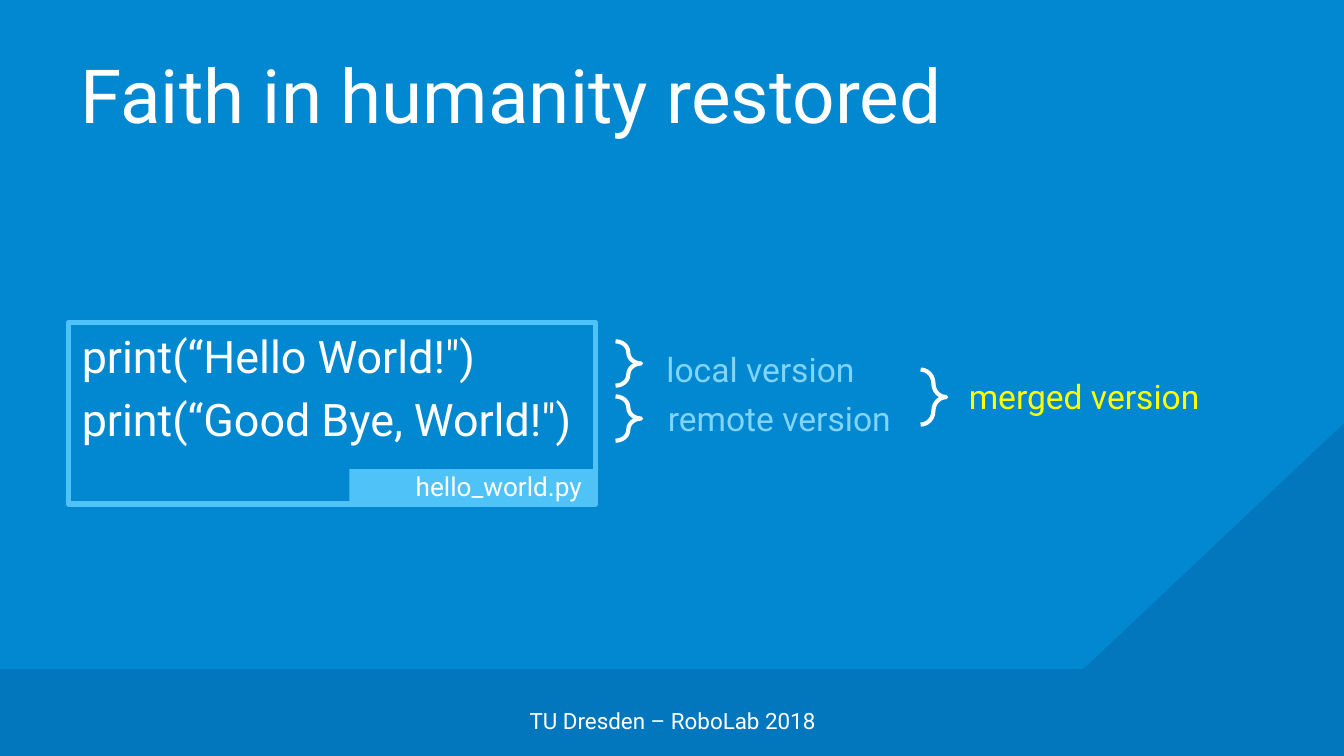
from pptx import Presentation
from pptx.dml.color import RGBColor
from pptx.enum.shapes import MSO_SHAPE
from pptx.enum.text import MSO_ANCHOR, PP_ALIGN
from pptx.oxml.ns import qn
from pptx.util import Inches, Pt
from lxml.etree import SubElement

WHITE = "FFFFFF"
BACKGROUND = "0288D1"
FOOTER_BLUE = "0277BD"
FRAME_BLUE = "4FC3F7"
LABEL_BLUE = "81D4FA"
YELLOW = "FFFF00"


def color(hex_code):
    return RGBColor.from_string(hex_code)


def style(shape, fill=None, line=None, width=1):
    shape.shadow.inherit = False
    if fill:
        shape.fill.solid()
        shape.fill.fore_color.rgb = color(fill)
    else:
        shape.fill.background()
    if line:
        shape.line.color.rgb = color(line)
        shape.line.width = Pt(width)
        SubElement(shape.line._get_or_add_ln(), qn("a:round"))
    else:
        shape.line.fill.background()
    return shape


def add_preset(slide, kind, box, **look):
    shape = slide.shapes.add_shape(kind, *map(Inches, box))
    return style(shape, **look)


def add_brace(slide, box):
    brace = add_preset(slide, MSO_SHAPE.RIGHT_BRACE, box, line=WHITE, width=2.25)
    brace.adjustments[0] = 0.65
    brace.adjustments[1] = 0.5


def write(shape, *lines, size=18, ink=WHITE, align=PP_ALIGN.LEFT,
          anchor=MSO_ANCHOR.TOP, before=0):
    frame = shape.text_frame
    frame.word_wrap = True
    frame.vertical_anchor = anchor
    for index, line in enumerate(lines):
        paragraph = frame.add_paragraph() if index else frame.paragraphs[0]
        paragraph.alignment = align
        paragraph.space_before = Pt(before)
        run = paragraph.add_run()
        run.text = line
        run.font.name = "Roboto"
        run.font.size = Pt(size)
        run.font.color.rgb = color(ink)


def add_label(slide, text, box, **form):
    write(slide.shapes.add_textbox(*map(Inches, box)), text, **form)


def add_corner(slide):
    builder = slide.shapes.build_freeform(Inches(8.06), Inches(4.98))
    builder.add_line_segments(
        [(Inches(10), Inches(3.15)), (Inches(10), Inches(4.98))], close=True)
    style(builder.convert_to_shape(), fill=FOOTER_BLUE)


def add_code_box(slide):
    code = add_preset(slide, MSO_SHAPE.RECTANGLE, (0.51, 2.4, 3.92, 1.35),
                      line=FRAME_BLUE, width=3)
    write(code, "print(“Hello World!\")", "print(“Good Bye, World!\")",
          size=24, before=4.8)
    file_tab = add_preset(slide, MSO_SHAPE.RECTANGLE, (2.6, 3.49, 1.83, 0.25),
                          fill=FRAME_BLUE)
    write(file_tab, "hello_world.py", size=14, align=PP_ALIGN.RIGHT,
          anchor=MSO_ANCHOR.MIDDLE)


def main():
    deck = Presentation()
    deck.slide_width, deck.slide_height = Inches(10), Inches(5.625)
    slide = deck.slides.add_slide(deck.slide_layouts[6])
    slide.background.fill.solid()
    slide.background.fill.fore_color.rgb = color(BACKGROUND)

    add_corner(slide)
    add_preset(slide, MSO_SHAPE.RECTANGLE, (0, 4.98, 10, 0.645), fill=FOOTER_BLUE)
    add_label(slide, "Faith in humanity restored", (0.5, 0.23, 9, 0.94),
              size=40, anchor=MSO_ANCHOR.MIDDLE)
    add_label(slide, "TU Dresden – RoboLab 2018", (3.42, 5.21, 3.17, 0.3),
              size=12, align=PP_ALIGN.CENTER, anchor=MSO_ANCHOR.MIDDLE)
    add_code_box(slide)

    versions = [
        ("local version", (4.58, 2.54, 0.19, 0.33), (4.86, 2.55, 1.71, 0.4), LABEL_BLUE),
        ("remote version", (4.58, 2.95, 0.19, 0.33), (4.87, 2.91, 2.08, 0.4), LABEL_BLUE),
        ("merged version", (6.85, 2.75, 0.19, 0.41), (7.11, 2.75, 2.08, 0.4), YELLOW),
    ]
    for text, brace_box, label_box, ink in versions:
        add_brace(slide, brace_box)
        add_label(slide, text, label_box, ink=ink)

    deck.save("out.pptx")


if __name__ == "__main__":
    main()
